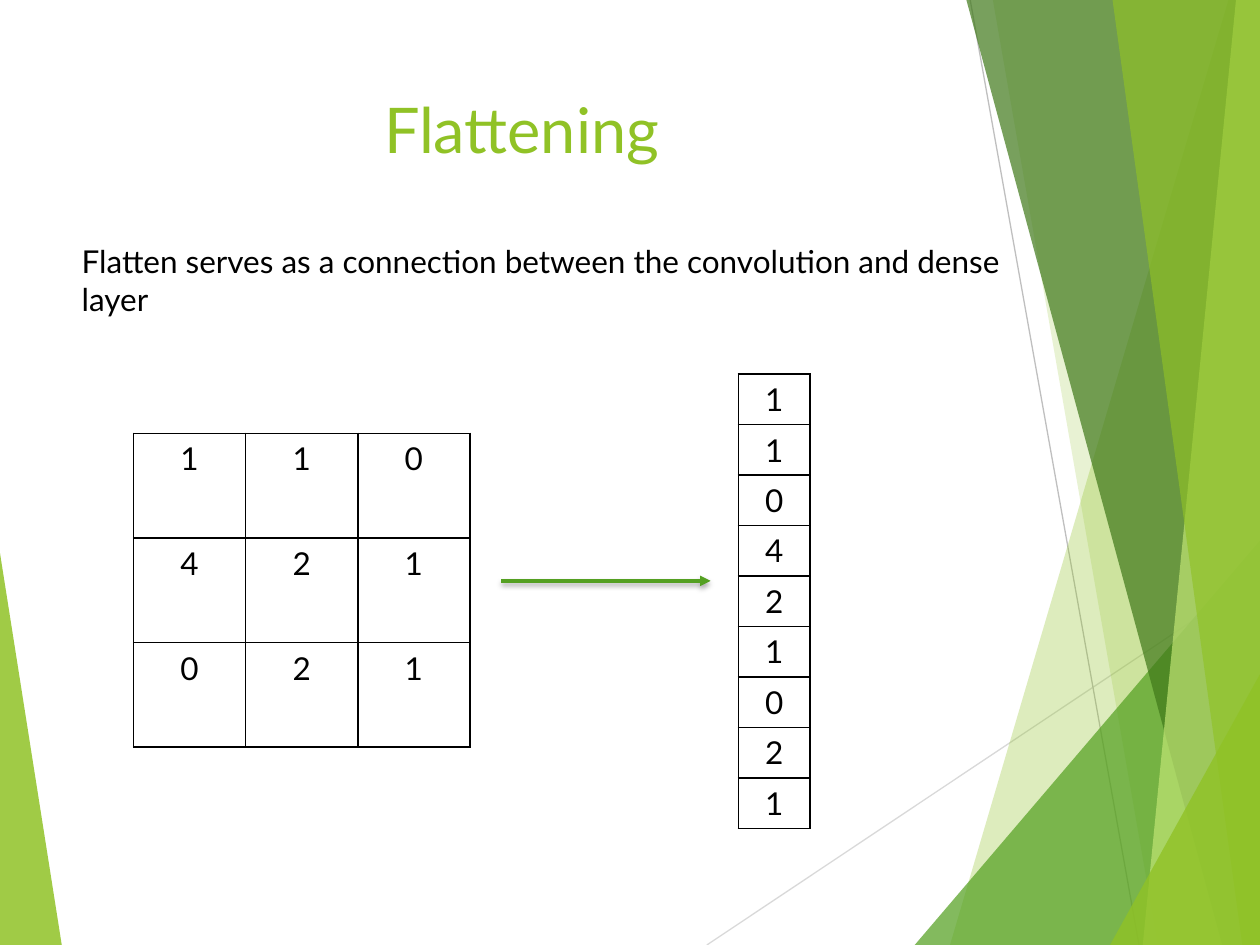
"""Build the Flattening slide: a 3 x 3 grid unrolled into one column."""
import pptx
import pptx.dml.color
import pptx.enum.shapes
import pptx.enum.text
import pptx.oxml
import pptx.oxml.ns
import pptx.util
from lxml import etree

Inches, Pt = pptx.util.Inches, pptx.util.Pt
RGBColor = pptx.dml.color.RGBColor
PP_ALIGN = pptx.enum.text.PP_ALIGN
LIME = RGBColor(0x90, 0xC2, 0x26)
GREEN = RGBColor(0x54, 0xA0, 0x21)
DARK_GREEN = RGBColor(0x3F, 0x78, 0x19)
PALE_LIME = RGBColor(0xC0, 0xE4, 0x74)
LIGHT_GRAY = RGBColor(0xD9, 0xD9, 0xD9)
GRAY = RGBColor(0xBF, 0xBF, 0xBF)
BLACK = RGBColor(0, 0, 0)
FONT = "Lato"
W, H = 10, 7.5
NS = pptx.oxml.ns.nsdecls("a")

prs = pptx.Presentation()
prs.slide_width, prs.slide_height = Inches(W), Inches(H)
s = prs.slides.add_slide(prs.slide_layouts[5])


def add_line(x1, y1, x2, y2, color, width):
    line = s.shapes.add_connector(
        pptx.enum.shapes.MSO_CONNECTOR.STRAIGHT,
        Inches(x1), Inches(y1), Inches(x2), Inches(y2))
    line.line.color.rgb = color
    line.line.width = Pt(width)
    effects = etree.SubElement(line.element.spPr, pptx.oxml.ns.qn("a:effectLst"))
    return line, effects


def add_grid(x, y, col_width, row_height, rows):
    shape = s.shapes.add_table(
        len(rows), len(rows[0]), Inches(x), Inches(y),
        Inches(col_width * len(rows[0])), Inches(row_height * len(rows)))
    table = shape.table
    table.first_row = table.horz_banding = False
    for i, row in enumerate(rows):
        table.rows[i].height = Inches(row_height)
        for j, value in enumerate(row):
            table.columns[j].width = Inches(col_width)
            cell = table.cell(i, j)
            tcPr = cell._tc.get_or_add_tcPr()
            for side in "LRTB":
                tcPr.append(pptx.oxml.parse_xml(
                    f'<a:ln{side} {NS} w="12700"><a:solidFill>'
                    f'<a:srgbClr val="{BLACK}"/></a:solidFill></a:ln{side}>'))
            cell.fill.background()
            p = cell.text_frame.paragraphs[0]
            p.text = str(value)
            p.alignment = PP_ALIGN.CENTER
            p.font.name, p.font.size, p.font.color.rgb = FONT, Pt(18), BLACK


add_line(5.61, H, W, 4.57, LIGHT_GRAY, 0.75)
add_line(7.7, 0, 9.04, H, GRAY, 0.75)

facets = [
    (LIME, 85, [(0, 4.39), (0.49, H), (0, H)]),
    (LIME, 30, [(9.75, 0), (7.54, H), (W, H), (W, 0)]),
    (LIME, 20, [(7.88, 0), (9.19, H), (W, H), (W, 0)]),
    (GREEN, 72, [(7.26, H), (W, 4.29), (W, H)]),
    (DARK_GREEN, 70, [(7.67, 0), (9.7, H), (W, H), (W, 0)]),
    (PALE_LIME, 70, [(9.81, 0), (9.07, H), (W, H), (W, 0)]),
    (LIME, 65, [(8.83, 0), (9.86, H), (W, H), (W, 0)]),
    (LIME, 80, [(8.81, H), (W, 5.35), (W, H)]),
]
for color, opacity, corners in facets:
    points = [(Inches(x), Inches(y)) for x, y in corners]
    builder = s.shapes.build_freeform(*points[0])
    builder.add_line_segments(points[1:], close=True)
    sp = builder.convert_to_shape()
    sp.shadow.inherit = False
    sp.fill.solid()
    sp.fill.fore_color.rgb = color
    sp.line.fill.background()
    srgb = sp.element.spPr.find(".//" + pptx.oxml.ns.qn("a:srgbClr"))
    etree.SubElement(srgb, pptx.oxml.ns.qn("a:alpha"), val=str(opacity * 1000))

title = s.shapes.title
title.element.getparent().append(title.element)
title.left, title.top, title.width, title.height = map(Inches, (0.67, 0.67, 6.94, 1.44))
tf = title.text_frame
tf.vertical_anchor = pptx.enum.text.MSO_ANCHOR.TOP
p = tf.paragraphs[0]
p.text = "Flattening"
p.alignment = PP_ALIGN.CENTER
p.font.name, p.font.size, p.font.color.rgb = FONT, Pt(36), LIME

matrix = [[1, 1, 0], [4, 2, 1], [0, 2, 1]]
add_grid(1.06, 3.44, 0.89, 0.83, matrix)
add_grid(5.86, 2.97, 0.57, 0.4, [[value] for row in matrix for value in row])

arrow, effects = add_line(3.98, 4.61, 5.64, 4.61, GREEN, 2)
etree.SubElement(arrow.line._get_or_add_ln(), pptx.oxml.ns.qn("a:tailEnd"), type="triangle")
effects.append(pptx.oxml.parse_xml(
    f'<a:outerShdw {NS} blurRad="38100" dist="25400" dir="5400000" rotWithShape="0">'
    f'<a:srgbClr val="{BLACK}"><a:alpha val="35000"/></a:srgbClr></a:outerShdw>'))

tf = s.shapes.add_textbox(Inches(0.55), Inches(1.87), Inches(7.66), Inches(0.71)).text_frame
tf.word_wrap = True
tf.auto_size = pptx.enum.text.MSO_AUTO_SIZE.SHAPE_TO_FIT_TEXT
p = tf.paragraphs[0]
p.text = "Flatten serves as a connection between the convolution and dense layer"
p.font.name, p.font.size, p.font.color.rgb = FONT, Pt(18), BLACK

prs.save("out.pptx")
